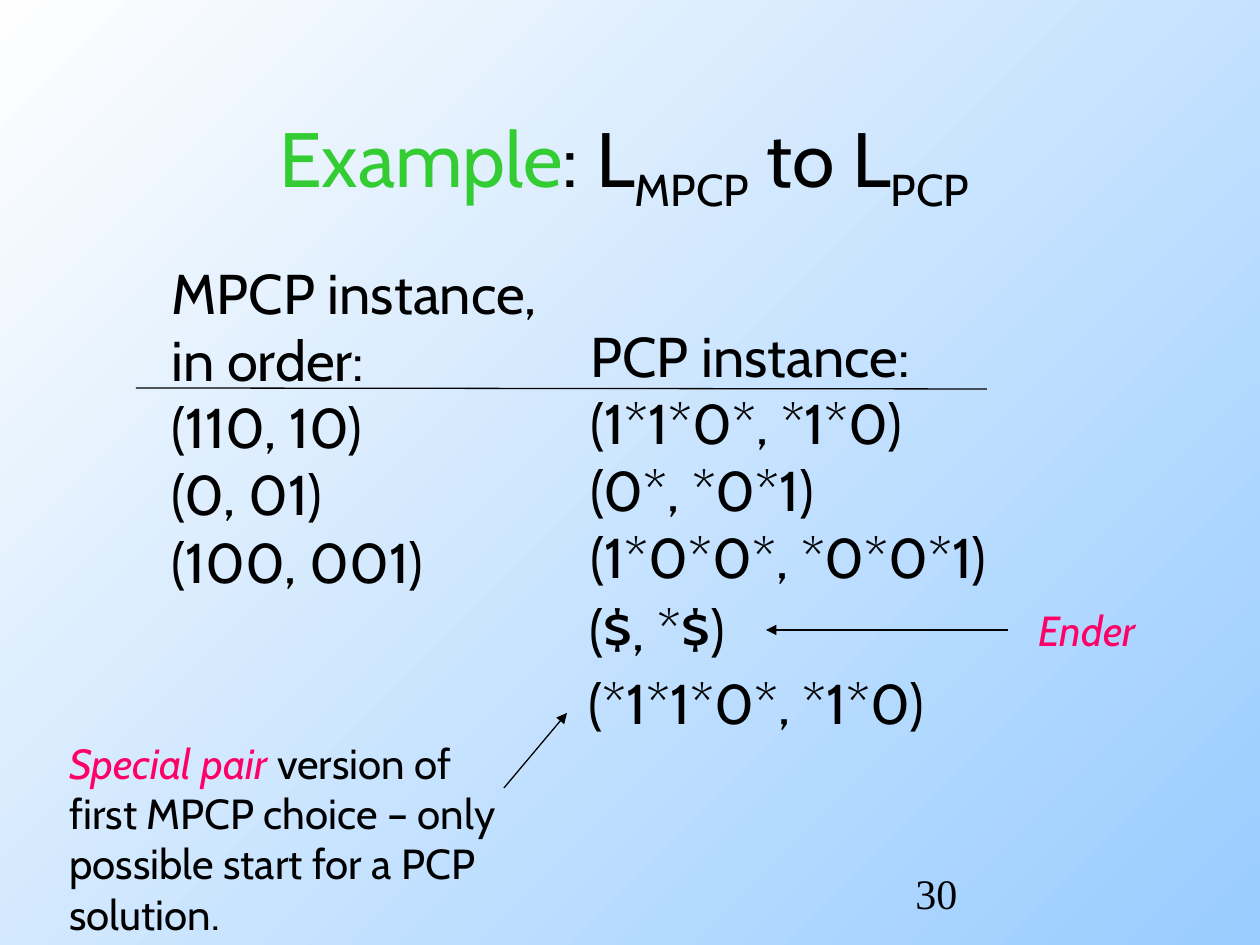
from lxml import etree
from pptx import Presentation
from pptx.dml.color import RGBColor
from pptx.enum.shapes import MSO_CONNECTOR
from pptx.enum.text import MSO_ANCHOR, MSO_AUTO_SIZE, PP_ALIGN
from pptx.oxml.ns import qn
from pptx.util import Pt

PX = 914400 // 126
STRAIGHT = MSO_CONNECTOR.STRAIGHT
MIDDLE = MSO_ANCHOR.MIDDLE
GROW, FIXED = MSO_AUTO_SIZE.SHAPE_TO_FIT_TEXT, MSO_AUTO_SIZE.NONE
CENTER, LEFT = PP_ALIGN.CENTER, PP_ALIGN.LEFT

BLACK = RGBColor(0x00, 0x00, 0x00)
GREEN = RGBColor(0x33, 0xCC, 0x33)
PINK = RGBColor(0xFF, 0x00, 0x66)
SKY = RGBColor(0x99, 0xCC, 0xFF)
WHITE = RGBColor(0xFE, 0xFE, 0xFE)

SUB = {"baseline": "-25000"}
ACCENT = {"color": PINK, "italic": True}


def px(*values):
    return [v * PX for v in values]


def add_run(p, text, size, font, color=BLACK, italic=False, baseline=None):
    r = p.add_run()
    r.text = text
    for name, value in {"size": Pt(size), "name": font, "italic": italic}.items():
        setattr(r.font, name, value)
    r.font.color.rgb = color
    if baseline:
        r.font._element.set("baseline", baseline)


def add_text(parent, box, lines, size=32, font="Cabin", align=LEFT,
             wrap=False, anchor=None):
    """Each line is a string or a list of (text, format) runs."""
    tf = parent.shapes.add_textbox(*px(*box)).text_frame
    frame = {"word_wrap": wrap, "auto_size": FIXED if wrap else GROW}
    if anchor is not None:
        frame["vertical_anchor"] = anchor
    for name, value in frame.items():
        setattr(tf, name, value)
    for i, line in enumerate(lines):
        p = tf.paragraphs[0] if i == 0 else tf.add_paragraph()
        p.alignment = align
        runs = [(line, {})] if isinstance(line, str) else line
        for text, style in runs:
            add_run(p, text, size, font, **style)


def add_line(parent, ends, arrow=False):
    c = parent.shapes.add_connector(STRAIGHT, *px(*ends))
    c.line.color.rgb = BLACK
    c.line.width = Pt(0.74)
    if arrow:
        etree.SubElement(c.line._get_or_add_ln(), qn("a:tailEnd"), type="triangle")
    etree.SubElement(c._element.spPr, qn("a:effectLst"))


def set_background(s):
    fill = s.background.fill
    fill.gradient()
    fill.gradient_angle = 135
    for stop, color, position in zip(fill.gradient_stops, (SKY, WHITE), (0, 1)):
        stop.color.rgb = color
        stop.position = position


def main():
    prs = Presentation()
    prs.slide_width, prs.slide_height = px(1260, 945)
    s = prs.slides.add_slide(prs.slide_layouts[6])
    set_background(s)

    # Title
    title = [("Example", {"color": GREEN}), (": L", {}), ("MPCP", SUB),
             (" to L", {}), ("PCP ", SUB)]
    add_text(s, (94, 84, 1071, 158), [title], 44, align=CENTER, wrap=True,
             anchor=MIDDLE)

    # The two instances
    add_text(s, (159, 252, 430, 349),
             ["MPCP instance,", "in order:", "(110, 10)", "(0, 01)", "(100, 001)"])
    add_text(s, (578, 315, 466, 282),
             ["PCP instance:", "(1*1*0*, *1*0)", "(0*, *0*1)", "(1*0*0*, *0*0*1)"])

    # Ender pair
    ender = s.shapes.add_group_shape()
    add_text(ender, (577, 588, 183, 81), ["($, *$)"])
    add_text(ender, (1026, 598, 132, 63), [[("Ender", ACCENT)]], 24)
    add_line(ender, (1008, 630, 766, 630), arrow=True)

    # Special pair
    special = s.shapes.add_group_shape()
    add_text(special, (576, 662, 433, 81), ["(*1*1*0*, *1*0)"])
    add_text(special, (57, 731, 493, 214),
             [[("Special pair ", ACCENT), ("version of", {})],
              "first MPCP choice – only", "possible start for a PCP", "solution."], 24)
    add_line(special, (504, 788, 567, 713), arrow=True)

    # Rule under the headings and page number
    add_line(s, (136, 388, 987, 389))
    add_text(s, (903, 861, 262, 63), ["30"], 24, "Times New Roman", wrap=True)

    prs.save("out.pptx")


main()
